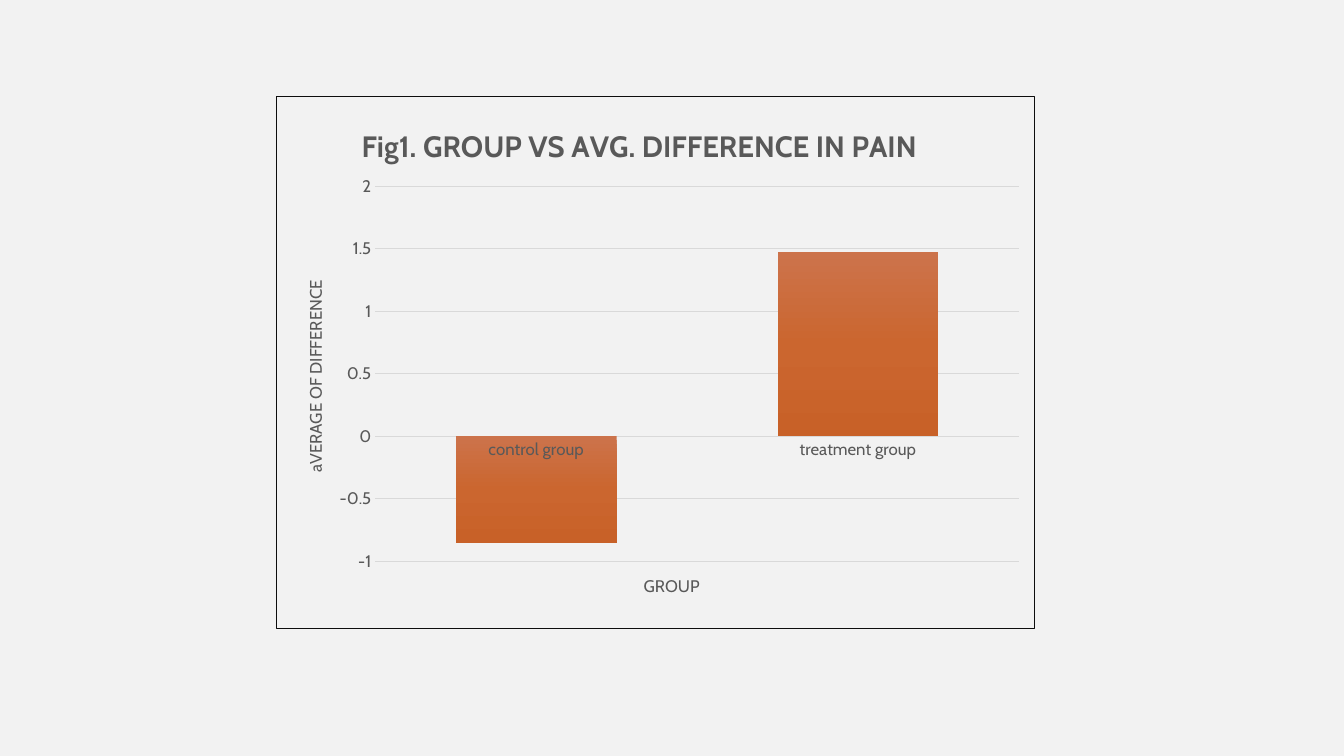
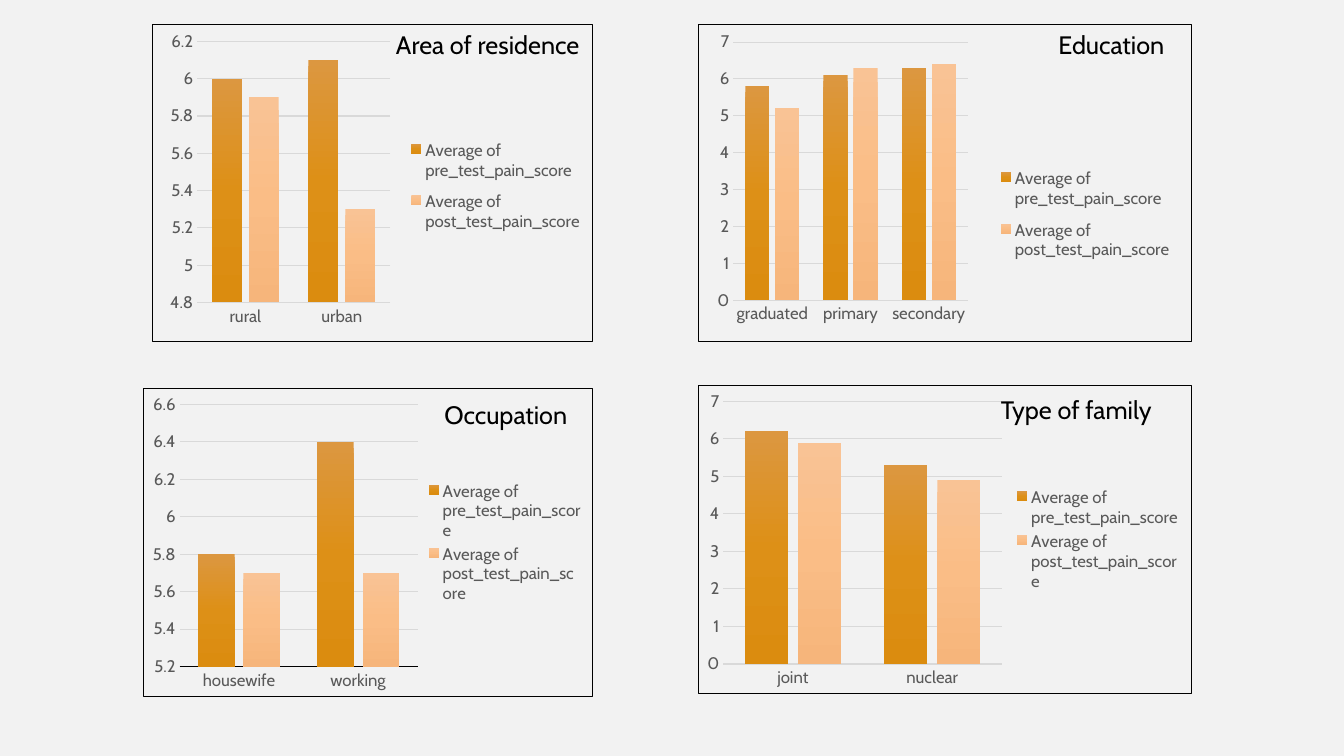
from pptx import Presentation
from pptx.chart.data import CategoryChartData
from pptx.dml.color import RGBColor
from pptx.enum.chart import XL_CHART_TYPE, XL_LEGEND_POSITION, XL_TICK_MARK
from pptx.enum.text import MSO_AUTO_SIZE
from pptx.oxml import parse_xml
from pptx.oxml.ns import nsdecls, qn
from pptx.util import Inches, Pt

# Shared look
FONT = "Cabin"
PAPER, BLACK, GREY, GRID = "F2F2F2", "000000", "595959", "D9D9D9"
RUST = ["CC734B", "CB662F", "C86128"]
AMBER = ["DC9740", "DD9017", "DB8C0F"]
PEACH = ["F9C395", "FABD86", "F6B57B"]
PRE = "Average of pre_test_pain_score"
POST = "Average of post_test_pain_score"

deck = Presentation()
deck.slide_width, deck.slide_height = Inches(13.33), Inches(7.5)
background = deck.slide_master.background.fill
background.solid()
background.fore_color.rgb = RGBColor.from_string(PAPER)


def style(font, size, color, bold=False):
    font.name, font.size, font.bold = FONT, Pt(size), bold
    font.color.rgb = RGBColor.from_string(color)


def arrange(element, index, **shares):
    """Place a chart part by percentages of the chart's size."""
    for old in element.findall(qn("c:layout")):
        element.remove(old)
    inner = '<c:layoutTarget val="inner"/>' if element.tag == qn("c:plotArea") else ""
    modes = '<c:xMode val="edge"/><c:yMode val="edge"/>'
    values = "".join(f'<c:{key} val="{share / 100}"/>' for key, share in shares.items())
    element.insert(index, parse_xml(
        f'<c:layout {nsdecls("c")}><c:manualLayout>{inner}{modes}{values}'
        "</c:manualLayout></c:layout>"))


# Places are left, top, width, height: percent of the slide, or of the chart for its parts
pages = [
    [dict(at=(20.55, 12.67, 56.49, 70.53), plot=(13, 16.9, 84.9, 70.5),
          groups=["control group", "treatment group"],
          series=[("Series 1", [-0.85, 1.47], RUST)],
          scale=(-1, 2, 0.5), border="0D0D0D")],
    [dict(at=(11.33, 3.2, 32.78, 42), plot=(10.1, 5.3, 43.9, 82.5),
          legend=(58, 33, 40, 36), label=("Area of residence", 28.73, 3.2),
          groups=["rural", "urban"], scale=(4.8, 6.2, 0.2),
          series=[(PRE, [6, 6.1], AMBER), (POST, [5.9, 5.3], PEACH)]),
     dict(at=(51.91, 3.2, 36.76, 42), plot=(7.1, 5.5, 47.6, 81.6),
          legend=(60, 42, 37, 36), label=("Education", 78.02, 3.2),
          groups=["graduated", "primary", "secondary"], scale=(0, 7, 1),
          series=[(PRE, [5.8, 6.1, 6.3], AMBER), (POST, [5.2, 6.3, 6.4], PEACH)]),
     dict(at=(10.65, 51.33, 33.46, 40.93), plot=(8, 5.2, 53.1, 85),
          legend=(63.5, 29, 34, 42), label=("Occupation", 32.33, 52.13),
          groups=["housewife", "working"], scale=(5.2, 6.6, 0.2), baseline=BLACK,
          series=[(PRE, [5.8, 6.4], AMBER), (POST, [5.7, 5.7], PEACH)]),
     dict(at=(51.91, 50.93, 36.76, 40.93), plot=(5.1, 5.2, 56.5, 85.1),
          legend=(64, 32, 34, 36), label=("Type of family", 73.74, 51.47),
          groups=["joint", "nuclear"], scale=(0, 7, 1),
          series=[(PRE, [6.2, 5.3], AMBER), (POST, [5.9, 4.9], PEACH)])],
]

across, down = deck.slide_width / 100, deck.slide_height / 100
for panels in pages:
    page = deck.slides.add_slide(deck.slide_layouts[6])
    for panel in panels:
        # Chart and data
        data = CategoryChartData()
        data.categories = panel["groups"]
        for name, values, colors in panel["series"]:
            data.add_series(name, values)
        left, top, width, height = panel["at"]
        chart = page.shapes.add_chart(
            XL_CHART_TYPE.COLUMN_CLUSTERED, int(left * across), int(top * down),
            int(width * across), int(height * down), data).chart
        style(chart.font, 10, BLACK)
        chart.has_title = False
        body = chart.element.find(qn("c:chart"))
        body.addnext(parse_xml(
            f'<c:spPr {nsdecls("c", "a")}><a:noFill/><a:ln w="9525"><a:solidFill>'
            f'<a:srgbClr val="{panel.get("border", BLACK)}"/></a:solidFill></a:ln></c:spPr>'))
        arrange(body.find(qn("c:plotArea")), 0, **dict(zip("xywh", panel["plot"])))

        # Columns with a three-stop gradient
        plot = chart.plots[0]
        plot.gap_width, plot.overlap, plot.vary_by_categories = 100, -24, False
        for series in plot.series:
            series.invert_if_negative = False
            series.format.fill.gradient()
            series.format.fill.gradient_angle = 270
        for stops, (name, values, colors) in zip(body.iter(qn("a:gsLst")), panel["series"]):
            for stop in list(stops):
                stops.remove(stop)
            for position, color in zip((0, 50000, 100000), colors):
                stops.append(parse_xml(
                    f'<a:gs {nsdecls("a")} pos="{position}"><a:srgbClr val="{color}"/></a:gs>'))

        # Axes
        for axis in (chart.category_axis, chart.value_axis):
            axis.major_tick_mark = axis.minor_tick_mark = XL_TICK_MARK.NONE
            style(axis.tick_labels.font, 12, GREY)
        baseline = chart.category_axis.format.line
        baseline.color.rgb = RGBColor.from_string(panel.get("baseline", GRID))
        baseline.width = Pt(1)
        value_axis = chart.value_axis
        value_axis.minimum_scale, value_axis.maximum_scale, value_axis.major_unit = panel["scale"]
        value_axis.format.line.fill.background()
        gridline = value_axis.major_gridlines.format.line
        gridline.color.rgb = RGBColor.from_string(GRID)
        gridline.width = Pt(0.75)

        # Legend and panel label
        if "legend" in panel:
            chart.has_legend = True
            chart.legend.position = XL_LEGEND_POSITION.RIGHT
            chart.legend.include_in_layout = False
            style(chart.legend.font, 12, GREY)
            arrange(body.find(qn("c:legend")), 1, **dict(zip("xywh", panel["legend"])))
        if "label" in panel:
            text, left, top = panel["label"]
            box = page.shapes.add_textbox(int(left * across), int(top * down),
                                          int(21.3 * across), int(5.33 * down))
            box.text_frame.word_wrap = True
            box.text_frame.auto_size = MSO_AUTO_SIZE.SHAPE_TO_FIT_TEXT
            box.text_frame.text = text
            style(box.text_frame.paragraphs[0].runs[0].font, 18, BLACK)
        else:
            # Chart title and axis titles
            chart.has_title = True
            for title, text, size, bold, x, y in (
                    (chart.chart_title, "Fig1. GROUP VS AVG. DIFFERENCE IN PAIN", 21, True, 10.5, 4.5),
                    (chart.category_axis.axis_title, "GROUP", 12, False, 48, 89.3),
                    (value_axis.axis_title, "aVERAGE OF DIFFERENCE", 12, False, 3.2, 34)):
                title.text_frame.text = text
                style(title.text_frame.paragraphs[0].runs[0].font, size, GREY, bold)
                arrange(title.element, 1, x=x, y=y)
            turned = value_axis.axis_title.text_frame
            turned.paragraphs[0].runs[0].font.bold = False
            value_axis.axis_title.element.find(".//" + qn("a:bodyPr")).set("rot", "-5400000")

deck.save("out.pptx")
